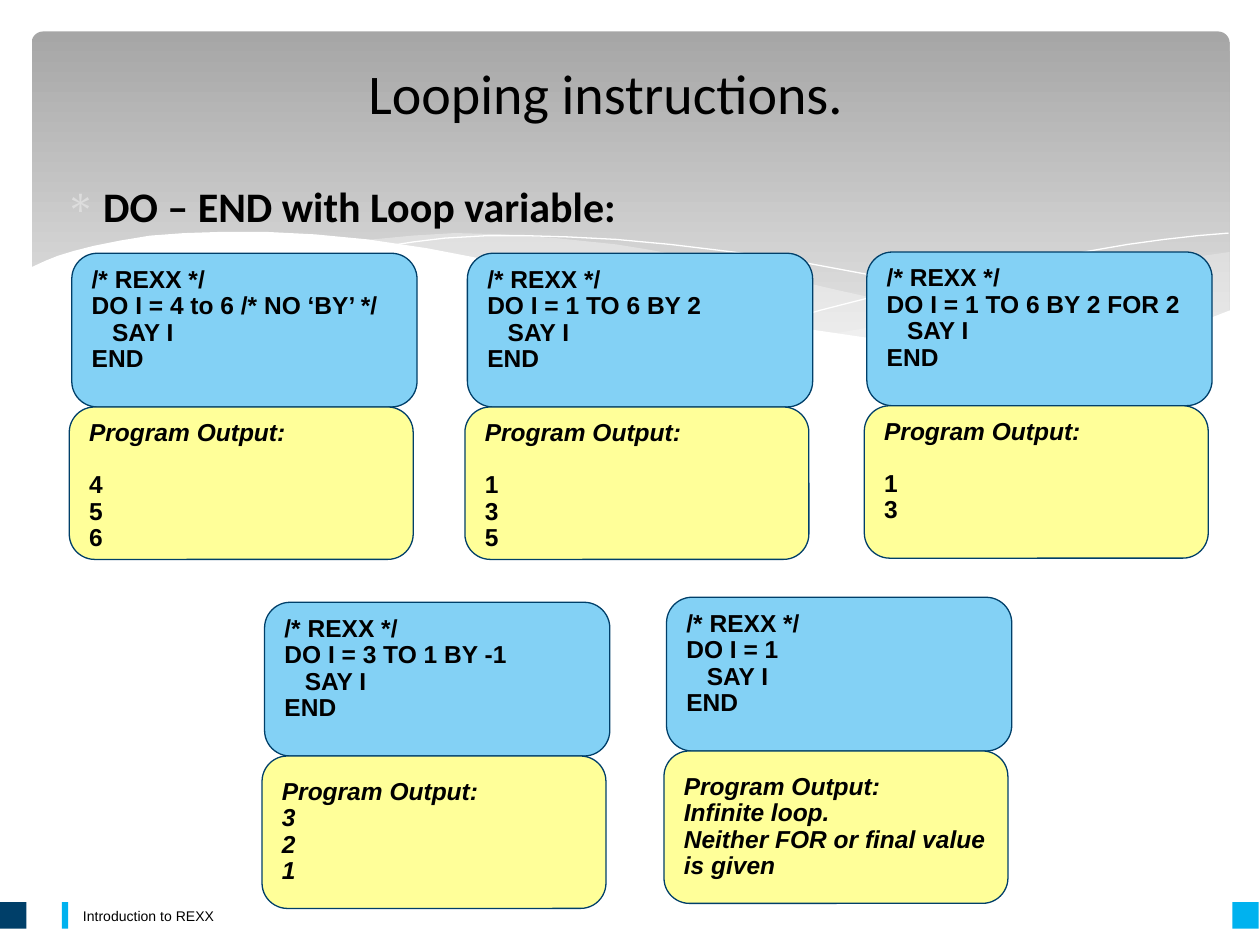
from lxml.etree import SubElement
from pptx import Presentation
from pptx.dml.color import RGBColor
from pptx.enum.shapes import MSO_SHAPE as Preset
from pptx.enum.text import MSO_ANCHOR as Anchor, PP_ALIGN as Align
from pptx.oxml.ns import qn
from pptx.util import Inches, Pt

BLACK = RGBColor(0, 0, 0)
WHITE = RGBColor(0xFF, 0xFF, 0xFF)
NAVY = RGBColor(0x00, 0x3F, 0x69)
CYAN = RGBColor(0x00, 0xB2, 0xEF)
CODE_BLUE = RGBColor(0x83, 0xD1, 0xF5)
OUTPUT_YELLOW = RGBColor(0xFF, 0xFF, 0x99)
BANNER_DARK = RGBColor(0xA6, 0xA6, 0xA6)
BANNER_LIGHT = RGBColor(0xEB, 0xEB, 0xEB)
WAVE_GRAY = RGBColor(0xF8, 0xF8, 0xF8)
BULLET_GRAY = RGBColor(0xDD, 0xDD, 0xDD)

RIGHT_WAVE = [
    (9.76, 2), (9.48, 2.04), (9.21, 2.1), (8.91, 2.16), (8.61, 2.23),
    (8.05, 2.37), (7.53, 2.48), (7.06, 2.57), (6.61, 2.65), (6.91, 2.69),
    (7.18, 2.73), (7.45, 2.75), (7.69, 2.77), (8.03, 2.78), (8.35, 2.77),
    (8.63, 2.75), (8.89, 2.72), (9.13, 2.67), (9.35, 2.62), (9.49, 2.57),
    (9.63, 2.52), (9.76, 2.47),
]
MIDDLE_WAVE = [
    (8.93, 2.73), (8.66, 2.69), (8.07, 2.6), (7.41, 2.47), (6.68, 2.31),
    (6.29, 2.22), (5.98, 2.14), (5.69, 2.08), (5.41, 2.03), (5.14, 1.98),
    (4.89, 1.94), (4.41, 1.89), (3.99, 1.86), (3.61, 1.85), (3.28, 1.87),
    (2.86, 1.91), (3.23, 1.96), (3.62, 2.03), (4.04, 2.11), (4.49, 2.22),
    (4.91, 2.32), (5.3, 2.4), (5.84, 2.52), (6.18, 2.58), (6.5, 2.64),
    (6.8, 2.68), (7.09, 2.72), (7.36, 2.75), (7.61, 2.77), (8.07, 2.79),
    (8.38, 2.78), (8.67, 2.76),
]
LONG_CURVE = [
    (3.09, 1.95), (3.28, 1.92), (3.53, 1.89), (3.87, 1.87), (4.16, 1.87),
    (4.5, 1.88), (4.89, 1.9), (5.32, 1.94), (5.82, 2), (6.36, 2.08),
    (6.95, 2.19), (7.6, 2.33), (8.31, 2.51), (9.07, 2.72),
]
SHORT_CURVE = [
    (6.13, 2.57), (6.52, 2.46), (6.95, 2.35), (7.48, 2.23), (8.06, 2.1),
    (8.66, 1.99), (8.95, 1.94), (9.24, 1.9), (9.51, 1.87), (9.75, 1.85),
]
WHITE_WAVE = [
    (9.77, 2.46), (9.59, 2.53), (9.4, 2.59), (9.2, 2.65), (8.99, 2.69),
    (8.75, 2.73), (8.5, 2.75), (8.23, 2.77), (7.93, 2.76), (7.61, 2.75),
    (7.26, 2.72), (6.88, 2.68), (6.47, 2.62), (6.03, 2.54), (5.55, 2.45),
    (5.03, 2.33), (4.47, 2.2), (3.91, 2.07), (3.39, 1.97), (2.92, 1.9),
    (2.5, 1.86), (2.11, 1.84), (1.76, 1.84), (1.46, 1.85), (1.19, 1.87),
    (0.95, 1.91), (0.75, 1.95), (0.59, 1.99), (0.46, 2.03), (0.36, 2.07),
    (0.23, 2.13), (0.23, 3.29), (9.77, 3.29),
]

HEADING = "Program Output:"
PROGRAMS = [
    (0.57, 2.01, "DO I = 4 to 6 /* NO ‘BY’ */", ["4", "5", "6"]),
    (3.71, 2.01, "DO I = 1 TO 6 BY 2", ["1", "3", "5"]),
    (6.88, 2, "DO I = 1 TO 6 BY 2 FOR 2", ["1", "3"]),
]
ITALIC_PROGRAMS = [
    (2.1, 4.78, "DO I = 3 TO 1 BY -1", ["3", "2", "1"]),
    (5.29, 4.74, "DO I = 1",
     ["Infinite loop.", "Neither FOR or final value", "is given"]),
]


def set_font(para, name, size, bold=False, italic=False):
    font = para.font
    font.name, font.size = name, Pt(size)
    font.bold, font.italic = bold, italic
    font.color.rgb = BLACK


def add_preset(slide, preset, left, top, width, height, color=None):
    shape = slide.shapes.add_shape(
        preset, Inches(left), Inches(top), Inches(width), Inches(height))
    shape.shadow.inherit = False
    shape.line.fill.background()
    if color is not None:
        shape.fill.solid()
        shape.fill.fore_color.rgb = color
    return shape


def add_banner(slide):
    banner = add_preset(slide, Preset.ROUNDED_RECTANGLE, 0.25, 0.25, 9.51, 2.7)
    banner.adjustments[0] = 0.034
    banner.fill.gradient()
    banner.fill.gradient_angle = 270
    stops = banner.fill.gradient_stops
    for stop, color, position in zip(stops, (BANNER_DARK, BANNER_LIGHT), (0, 1)):
        stop.color.rgb = color
        stop.position = position


def add_outline(slide, points, closed):
    first, *rest = [(Inches(x), Inches(y)) for x, y in points]
    builder = slide.shapes.build_freeform(*first)
    builder.add_line_segments(rest, close=closed)
    shape = builder.convert_to_shape()
    shape.shadow.inherit = False
    return shape


def add_wave(slide, points, color, opacity=100):
    wave = add_outline(slide, points, True)
    wave.line.fill.background()
    wave.fill.solid()
    wave.fill.fore_color.rgb = color
    if opacity < 100:
        color_node = wave.fill._xPr.find(qn("a:solidFill"))[0]
        SubElement(color_node, qn("a:alpha"), val=str(opacity * 1000))


def add_curve(slide, points):
    curve = add_outline(slide, points, False)
    curve.fill.background()
    curve.line.color.rgb = WHITE
    curve.line.width = Pt(0)


def add_text(slide, text, left, top, width, height, anchor):
    box = slide.shapes.add_textbox(
        Inches(left), Inches(top), Inches(width), Inches(height))
    frame = box.text_frame
    frame.word_wrap = True
    frame.vertical_anchor = anchor
    frame.text = text
    return frame.paragraphs[0]


def add_bullet(para, symbol, color):
    props = para._p.get_or_add_pPr()
    props.set("marL", str(Inches(0.3)))
    props.set("indent", str(-Inches(0.3)))
    bullet_color = SubElement(props, qn("a:buClr"))
    SubElement(bullet_color, qn("a:srgbClr"), val=str(color))
    SubElement(props, qn("a:buChar"), char=symbol)


def add_panel(slide, left, top, width, height, color, lines, anchor):
    panel = add_preset(slide, Preset.FLOWCHART_ALTERNATE_PROCESS,
                       left, top, width, height, color)
    panel.line.color.rgb = NAVY
    panel.line.width = Pt(0.75)
    frame = panel.text_frame
    frame.word_wrap = True
    frame.margin_right = Inches(0.04)
    frame.vertical_anchor = anchor
    frame.text = "\n".join(lines)
    for para in frame.paragraphs:
        para.alignment = Align.LEFT
        para.line_spacing = 0.9
        set_font(para, "Arial", 14, bold=True)
    return frame.paragraphs


def add_program(slide, left, top, loop, results, italic_results):
    code = ["/* REXX */", loop, "   SAY I", "END"]
    add_panel(slide, left, top, 2.74, 1.22, CODE_BLUE, code, Anchor.TOP)
    anchor = Anchor.MIDDLE if italic_results else Anchor.TOP
    heading, *values = add_panel(slide, left - 0.02, top + 1.22, 2.73, 1.21,
                                 OUTPUT_YELLOW, [HEADING, *results], anchor)
    heading.font.italic = True
    for value in values:
        value.font.italic = italic_results
    if not italic_results:
        values[0].space_before = Pt(14.5)


def main():
    deck = Presentation()
    deck.slide_width, deck.slide_height = Inches(10), Inches(7.5)
    slide = deck.slides.add_slide(deck.slide_layouts[6])

    add_banner(slide)
    add_wave(slide, RIGHT_WAVE, WAVE_GRAY, 29)
    add_wave(slide, MIDDLE_WAVE, WAVE_GRAY, 40)
    add_curve(slide, LONG_CURVE)
    add_curve(slide, SHORT_CURVE)
    add_wave(slide, WHITE_WAVE, WHITE)

    footer = add_text(slide, "Introduction to REXX", 0.56, 7.14, 7.79, 0.26, Anchor.MIDDLE)
    set_font(footer, "Arial", 8)
    for left, width, color in ((0, 0.21, NAVY), (9.78, 0.21, CYAN), (0.49, 0.05, CYAN)):
        add_preset(slide, Preset.RECTANGLE, left, 7.16, width, 0.21, color)

    title = add_text(slide, "Looping instructions. ", 0.11, 0.38, 9.5, 0.7, Anchor.MIDDLE)
    title.alignment = Align.CENTER
    set_font(title, "Calibri", 32)
    topic = add_text(slide, "DO – END with Loop variable:", 0.42, 1.38, 8.96, 5.72, Anchor.TOP)
    add_bullet(topic, "∗", BULLET_GRAY)
    set_font(topic, "Calibri", 24, bold=True)

    for program in PROGRAMS:
        add_program(slide, *program, italic_results=False)
    for program in ITALIC_PROGRAMS:
        add_program(slide, *program, italic_results=True)
    deck.save("out.pptx")


if __name__ == "__main__":
    main()
